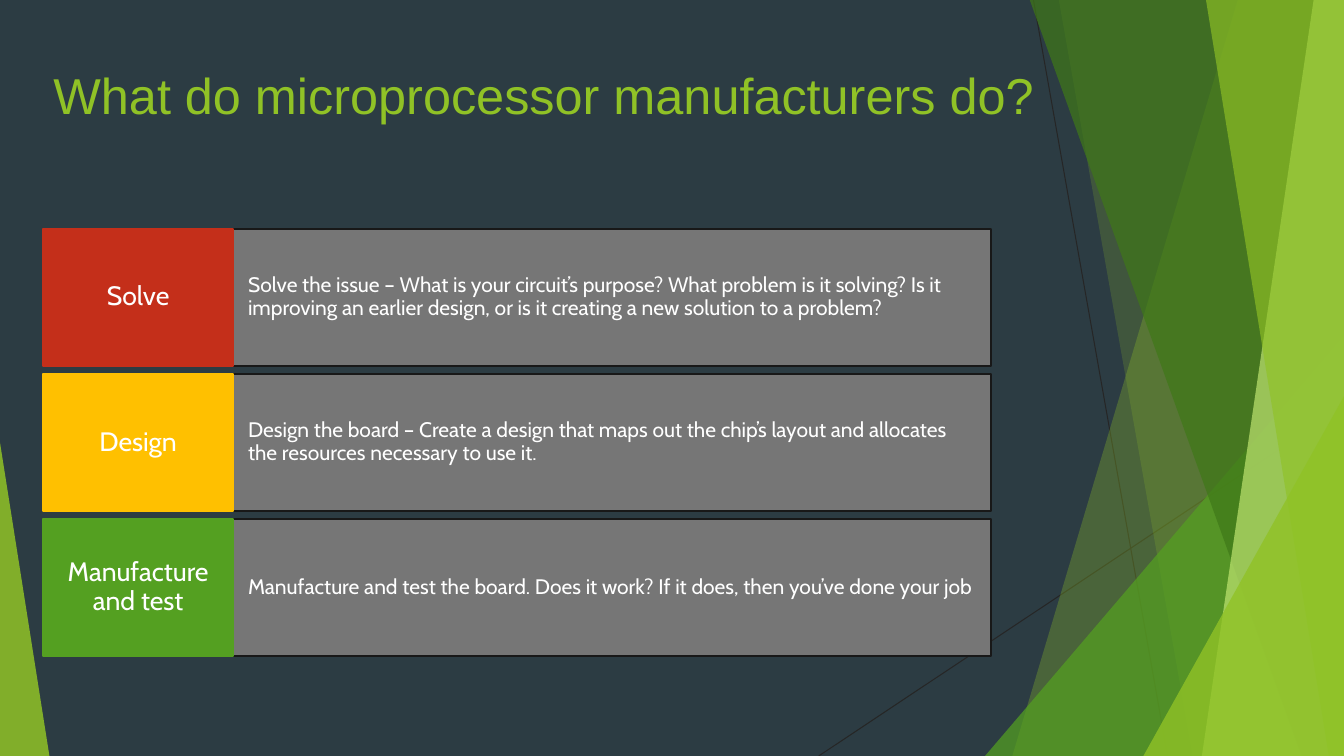
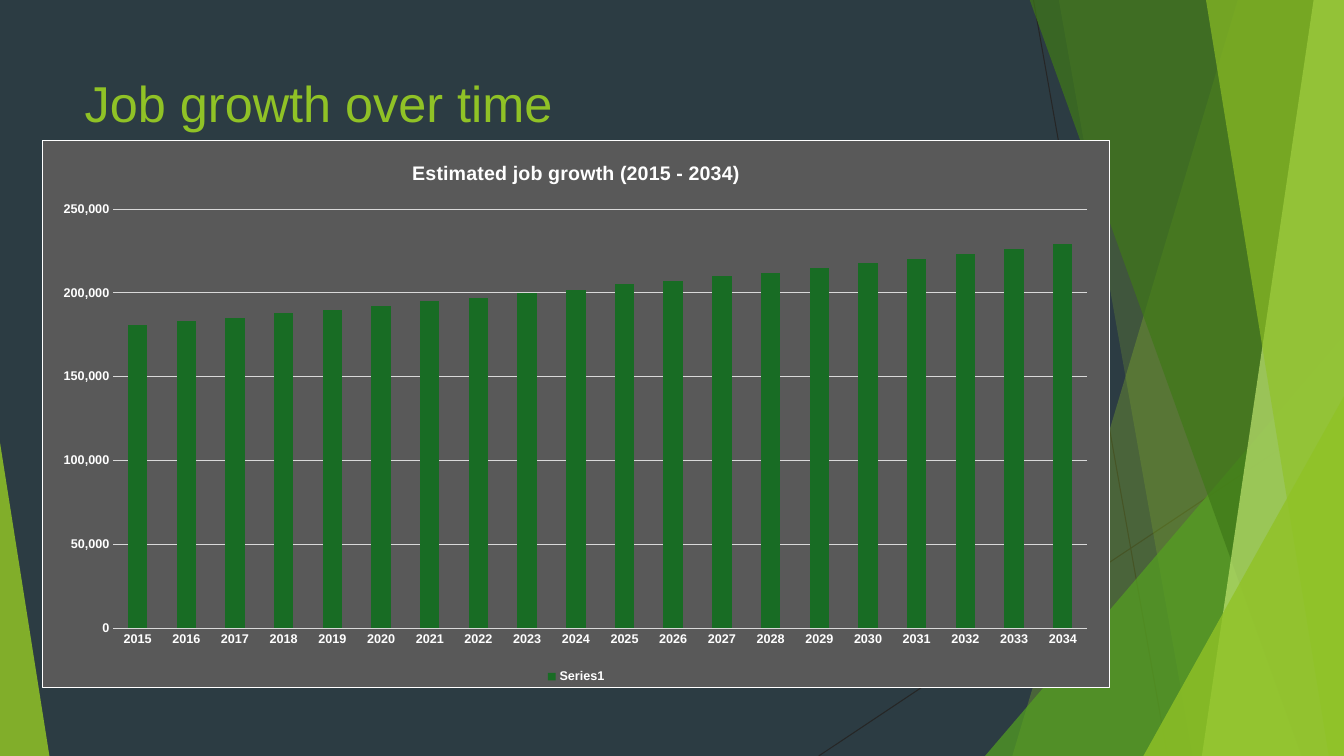
import lxml.etree
import pptx
import pptx.chart.data
import pptx.dml.color
import pptx.enum.chart
import pptx.enum.shapes
import pptx.enum.text
import pptx.oxml
import pptx.oxml.ns
import pptx.util

Inches = pptx.util.Inches
Pt = pptx.util.Pt
RGBColor = pptx.dml.color.RGBColor
SHAPE = pptx.enum.shapes.MSO_SHAPE
ALIGN = pptx.enum.text.PP_ALIGN
qn = pptx.oxml.ns.qn

# Colours and fonts
NIGHT = RGBColor(0x2C, 0x3C, 0x43)
LIME = RGBColor(0x90, 0xC2, 0x26)
GREEN = RGBColor(0x54, 0xA0, 0x21)
MOSS = RGBColor(0x3F, 0x78, 0x18)
PALE = RGBColor(0xBF, 0xE4, 0x71)
INK = RGBColor(0x26, 0x26, 0x26)
EDGE = RGBColor(0x18, 0x18, 0x18)
GREY = RGBColor(0x76, 0x76, 0x76)
RED = RGBColor(0xC4, 0x2F, 0x1A)
AMBER = RGBColor(0xFF, 0xC0, 0x00)
WHITE = RGBColor(0xFF, 0xFF, 0xFF)
SLATE = RGBColor(0x59, 0x59, 0x59)
SILVER = RGBColor(0xD9, 0xD9, 0xD9)
FOREST = RGBColor(0x18, 0x6C, 0x24)
HEAD, BODY = "Arial", "Cabin"

WIDE, HIGH = 13.33, 7.5

# Backdrop: lines as ends, shards as top left, top right and bottom corners
RAYS = [(10.25, 0, 11.58, HIGH), (WIDE, 4.03, 8.12, HIGH)]
SHARDS = [
    ("band", 12.28, 10.04, LIME, 30),
    ("band", 10.5, 11.83, LIME, 20),
    ("peak", (9.77, 3.33, 3.56, 1), None, GREEN, 72),
    ("band", 10.21, 12.91, MOSS, 70),
    ("band", 13.03, 11.92, PALE, 70),
    ("band", 11.96, 13.18, LIME, 65),
    ("peak", (11.34, 3.93, 1.99, 1), None, LIME, 80),
    ("peak", (0, 4.39, 0.49, 0), None, LIME, 85),
]

STEPS = [
    ("Solve", RED,
     "Solve the issue – What is your circuit’s purpose? What problem is it "
     "solving? Is it improving an earlier design, or is it creating a new "
     "solution to a problem?"),
    ("Design", AMBER,
     "Design the board – Create a design that maps out the chip’s layout and "
     "allocates the resources necessary to use it."),
    ("Manufacture and test", GREEN,
     "Manufacture and test the board. Does it work? If it does, then you’ve "
     "done your job"),
]

YEARS = [str(year) for year in range(2015, 2035)]
JOBS = [thou * 1000 for thou in (
    181, 183, 185, 188, 190, 192, 195, 197, 200, 202,
    205, 207, 210, 212, 215, 218, 220, 223, 226, 229)]


# Backdrop parts
def add_ray(group, x1, y1, x2, y2):
    ray = group.shapes.add_connector(
        pptx.enum.shapes.MSO_CONNECTOR.STRAIGHT,
        Inches(x1), Inches(y1), Inches(x2), Inches(y2))
    ray.line.color.rgb = INK
    ray.line.width = Pt(0.75)
    lxml.etree.SubElement(ray.element.spPr, qn("a:effectLst"))


def add_band(group, top, foot):
    """Shard from the top edge to the bottom edge, filled to the right."""
    build = group.shapes.build_freeform(Inches(top), Inches(-0.01), scale=1.0)
    build.add_line_segments([(Inches(x), Inches(y)) for x, y in (
        (WIDE, -0.01), (WIDE, HIGH), (foot, HIGH))], close=True)
    return build.convert_to_shape()


def add_peak(group, left, top, width, tip):
    """Triangle that stands on the bottom edge."""
    peak = group.shapes.add_shape(
        SHAPE.ISOSCELES_TRIANGLE, Inches(left), Inches(top),
        Inches(width), Inches(HIGH - top))
    peak.adjustments[0] = tip
    return peak


def tint(shape, color, alpha):
    shape.shadow.inherit = False
    shape.line.fill.background()
    shape.fill.solid()
    shape.fill.fore_color.rgb = color
    node = shape.element.spPr.find(".//" + qn("a:srgbClr"))
    lxml.etree.SubElement(node, qn("a:alpha"), val=str(alpha * 1000))


def dress(layout, slide):
    """Draw the backdrop once and move it to the shared layout."""
    layout.background.fill.solid()
    layout.background.fill.fore_color.rgb = NIGHT
    for holder in list(layout.placeholders)[1:]:
        holder.element.getparent().remove(holder.element)
    group = slide.shapes.add_group_shape()
    for ray in RAYS:
        add_ray(group, *ray)
    for kind, start, foot, color, alpha in SHARDS:
        if kind == "band":
            shard = add_band(group, start, foot)
        else:
            shard = add_peak(group, *start)
        tint(shard, color, alpha)
    layout.shapes.element.insert(2, group.element)


# Text parts
def style(font, size, color, name, bold=False):
    font.size = Pt(size)
    font.color.rgb = color
    font.name = name
    font.bold = bold


def set_title(slide, text, left, top, width):
    title = slide.shapes.title
    title.left, title.top = Inches(left), Inches(top)
    title.width, title.height = Inches(width), Inches(1.44)
    frame = title.text_frame
    frame.text = text
    frame.auto_size = pptx.enum.text.MSO_AUTO_SIZE.NONE
    frame.vertical_anchor = pptx.enum.text.MSO_ANCHOR.TOP
    para = frame.paragraphs[0]
    para.alignment = ALIGN.LEFT
    style(para.font, 36, LIME, HEAD)


def add_card(slide, text, box, fill, line, size, align, pad):
    card = slide.shapes.add_shape(SHAPE.RECTANGLE, *map(Inches, box))
    card.shadow.inherit = False
    card.fill.solid()
    card.fill.fore_color.rgb = fill
    card.line.color.rgb = line
    card.line.width = Pt(1.5)
    frame = card.text_frame
    frame.word_wrap = True
    frame.vertical_anchor = pptx.enum.text.MSO_ANCHOR.MIDDLE
    frame.margin_left = frame.margin_right = Inches(pad[0])
    frame.margin_top = frame.margin_bottom = Inches(pad[1])
    frame.text = text
    para = frame.paragraphs[0]
    para.alignment = align
    para.line_spacing = 0.9
    style(para.font, size, WHITE, BODY)


def add_steps(slide):
    left, top, tag, wide, high, pitch = 0.43, 2.27, 1.88, 7.52, 1.36, 1.44
    for row, (name, color, text) in enumerate(STEPS):
        y = top + row * pitch
        add_card(slide, text, (left + tag, y, wide, high), GREY, EDGE,
                 15, ALIGN.LEFT, (0.15, 0.35))
        add_card(slide, name, (left, y, tag, high), color, color,
                 19, ALIGN.CENTER, (0.1, 0.13))


# Chart parts
def frame_chart(chart):
    """Fill and outline the chart area, and place the plot in it."""
    space = pptx.oxml.ns.nsdecls("a", "c")
    chart.element.chart.addnext(pptx.oxml.parse_xml(
        f'<c:spPr {space}><a:solidFill><a:srgbClr val="{SLATE}"/></a:solidFill>'
        f'<a:ln w="{Pt(0.75)}"><a:solidFill><a:srgbClr val="{WHITE}"/>'
        '</a:solidFill></a:ln></c:spPr>'))
    area = chart.element.chart.plotArea
    for old in area.findall(qn("c:layout")):
        area.remove(old)
    layout = lxml.etree.Element(qn("c:layout"))
    manual = lxml.etree.SubElement(layout, qn("c:manualLayout"))
    for key, val in (("layoutTarget", "inner"), ("xMode", "edge"),
                     ("yMode", "edge"), ("x", 0.066), ("y", 0.125),
                     ("w", 0.913), ("h", 0.766)):
        lxml.etree.SubElement(manual, qn("c:" + key), val=str(val))
    area.insert(0, layout)


def style_axes(chart):
    value, cat = chart.value_axis, chart.category_axis
    none = pptx.enum.chart.XL_TICK_MARK.NONE
    for axis in (value, cat):
        axis.major_tick_mark = axis.minor_tick_mark = none
        style(axis.tick_labels.font, 9, WHITE, HEAD, True)
    value.minimum_scale, value.maximum_scale = 0, 250000
    value.major_unit = 50000
    value.tick_labels.number_format = "#,##0"
    value.tick_labels.number_format_is_linked = False
    value.format.line.fill.background()
    for part in (value.major_gridlines, cat):
        part.format.line.color.rgb = SILVER
        part.format.line.width = Pt(0.75)


def add_growth(slide):
    data = pptx.chart.data.CategoryChartData(number_format="#,##0")
    data.categories = YEARS
    data.add_series("Series1", JOBS)
    chart = slide.shapes.add_chart(
        pptx.enum.chart.XL_CHART_TYPE.COLUMN_CLUSTERED,
        Inches(0.42), Inches(1.39), Inches(10.59), Inches(5.44), data).chart
    style(chart.font, 10, WHITE, HEAD)
    chart.has_title = True
    title = chart.chart_title
    title.include_in_layout = False
    title.text_frame.text = "Estimated job growth (2015 - 2034)"
    style(title.text_frame.paragraphs[0].font, 14, WHITE, HEAD, True)
    chart.has_legend = True
    chart.legend.position = pptx.enum.chart.XL_LEGEND_POSITION.BOTTOM
    chart.legend.include_in_layout = False
    style(chart.legend.font, 9, WHITE, HEAD, True)
    plot = chart.plots[0]
    plot.gap_width = 150
    plot.vary_by_categories = False
    plot.series[0].format.fill.solid()
    plot.series[0].format.fill.fore_color.rgb = FOREST
    style_axes(chart)
    frame_chart(chart)


def main():
    deck = pptx.Presentation()
    deck.slide_width, deck.slide_height = Inches(WIDE), Inches(HIGH)
    layout = deck.slide_layouts[5]

    # Steps slide
    slide = deck.slides.add_slide(layout)
    dress(layout, slide)
    set_title(slide, "What do microprocessor manufacturers do?",
              0.43, 0.59, 9.98)
    add_steps(slide)

    # Growth slide
    slide = deck.slides.add_slide(layout)
    set_title(slide, "Job growth over time", 0.74, 0.67, 9.4)
    add_growth(slide)

    deck.save("out.pptx")


if __name__ == "__main__":
    main()
